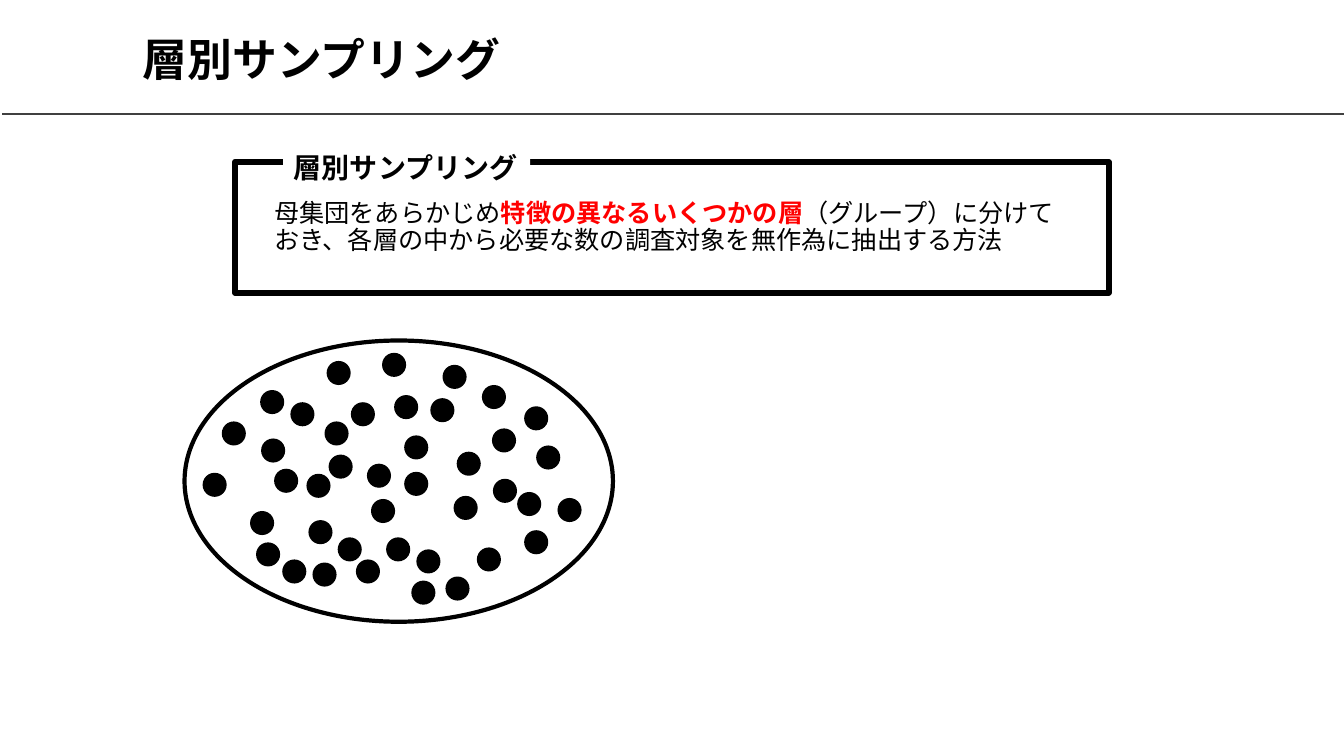
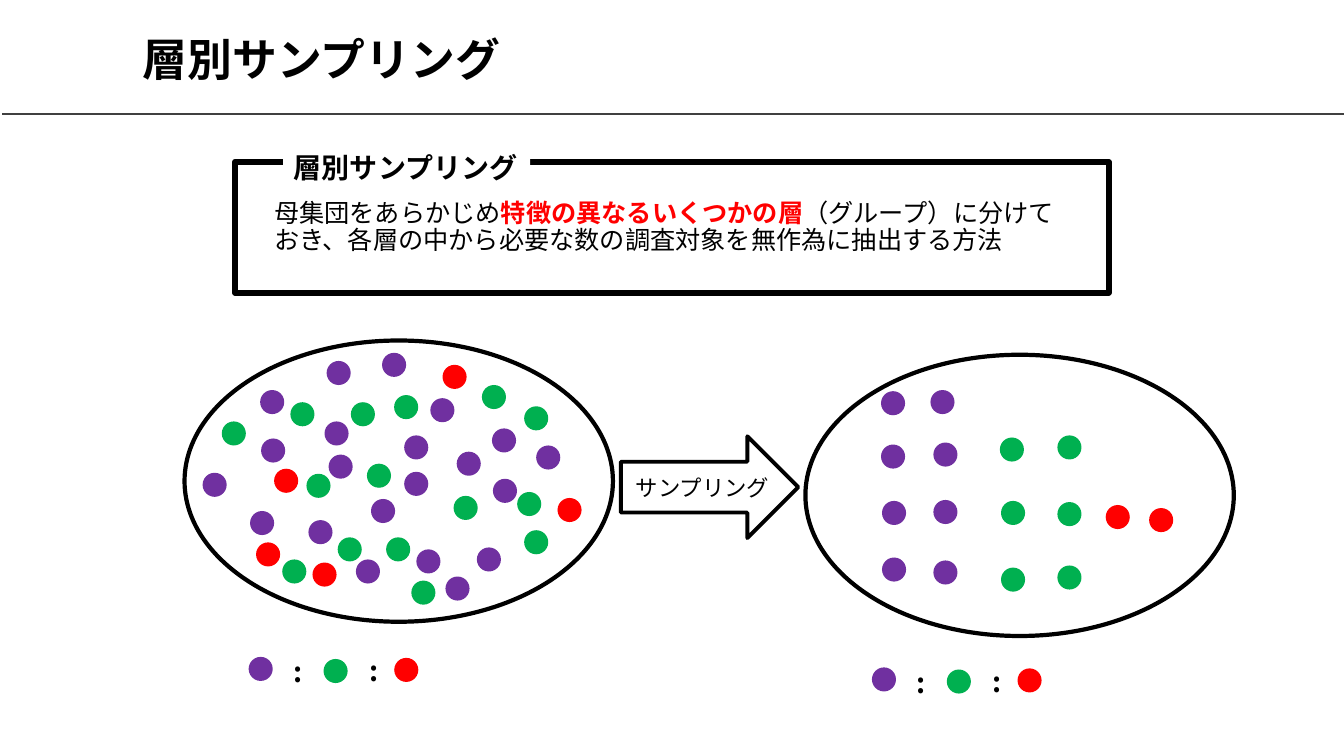
from pptx import Presentation
from pptx.dml.color import RGBColor
from pptx.enum.shapes import MSO_CONNECTOR, MSO_SHAPE
from pptx.enum.text import MSO_ANCHOR, PP_ALIGN
from pptx.oxml.ns import qn
from pptx.util import Pt
from lxml import etree

BLACK = RGBColor(0x00, 0x00, 0x00)
WHITE = RGBColor(0xFF, 0xFF, 0xFF)
GRAY = RGBColor(0x40, 0x40, 0x40)
RED = RGBColor(0xFF, 0x00, 0x00)
GREEN = RGBColor(0x00, 0xB0, 0x50)
PURPLE = RGBColor(0x70, 0x30, 0xA0)

FONT = "Noto Sans CJK JP"
DOT = 17.2
TOPIC = "層別サンプリング"

# Left and top of every dot, by stratum
POPULATION = {
    PURPLE: [
        (234.7, 324.7), (351.4, 306), (288.7, 337), (220.3, 371.5), (185.8, 278.6),
        (272.9, 252), (254.2, 399.6), (297.4, 392.4), (318.2, 411.8), (326.2, 322.6),
        (340.6, 391), (383, 318.2), (352.1, 342), (144.7, 337.7), (186.5, 313.2),
        (233.3, 257.8), (178.6, 365), (231.8, 301), (288.7, 311), (265, 356.4),
        (307.4, 284.4),
    ],
    GREEN: [
        (218.9, 338.4), (369.4, 351.4), (262.1, 331.2), (324, 354.2), (275.8, 383.8),
        (374.4, 290.2), (158.4, 301), (344.2, 275), (207.4, 287.3), (374.4, 378.7),
        (241.2, 383.8), (201.6, 399.6), (250.6, 287.3), (281.5, 282.2), (293.8, 414.7),
    ],
    RED: [(195.8, 334.8), (223.2, 401.8), (316.1, 260.6), (398.2, 355.7), (182.9, 387.4)],
}
SAMPLE = {
    PURPLE: [
        (629.3, 279.4), (664.6, 278.6), (629.3, 317.5), (666.7, 316.1),
        (630, 357.8), (666.7, 357.1), (630, 398.2), (666.7, 400.3),
    ],
    GREEN: [
        (714.2, 312.5), (755.3, 311), (715, 357.8),
        (755.3, 358.6), (715, 405.4), (755.3, 403.9),
    ],
    RED: [(789.8, 360.7), (820.8, 362.9)],
}


def add_figure(slide, kind, left, top, width, height, fill=None, line=None, weight=0):
    figure = slide.shapes.add_shape(kind, Pt(left), Pt(top), Pt(width), Pt(height))
    figure.shadow.inherit = False
    if fill is None:
        figure.fill.background()
    else:
        figure.fill.solid()
        figure.fill.fore_color.rgb = fill
    if line is None:
        figure.line.fill.background()
    else:
        figure.line.color.rgb = line
        figure.line.width = Pt(weight)
    return figure


def add_text(slide, left, top, width, height, parts, size, font=FONT, align=PP_ALIGN.CENTER):
    """Each part is a tuple of text, colour and bold."""
    box = slide.shapes.add_textbox(Pt(left), Pt(top), Pt(width), Pt(height))
    box.text_frame.word_wrap = True
    para = box.text_frame.paragraphs[0]
    para.alignment = align
    for text, color, bold in parts:
        span = para.add_run()
        span.text = text
        span.font.name = font
        span.font.size = Pt(size)
        span.font.bold = bold
        span.font.color.rgb = color
    return box


deck = Presentation()
deck.slide_width, deck.slide_height = Pt(960), Pt(540)

for stratified in (False, True):
    slide = deck.slides.add_slide(deck.slide_layouts[6])

    # Title and rule
    title = add_text(slide, 95, 11.5, 832, 60.5, [(TOPIC, BLACK, True)], 32, align=PP_ALIGN.LEFT)
    title.text_frame.vertical_anchor = MSO_ANCHOR.MIDDLE
    rule = slide.shapes.add_connector(MSO_CONNECTOR.STRAIGHT, Pt(1.5), Pt(81.4), Pt(960), Pt(81.4))
    rule.line.color.rgb = GRAY
    rule.line.width = Pt(1.5)
    etree.SubElement(rule.element.spPr, qn("a:effectLst"))

    # Definition in a labelled frame
    definition = add_text(slide, 188.8, 139.7, 581, 50.4, [
        ("母集団をあらかじめ", BLACK, False),
        ("特徴の異なるいくつかの層", RED, True),
        ("（グループ）に分けておき、各層の中から必要な数の調査対象を無作為に抽出する方法", BLACK, False),
    ], 18, align=PP_ALIGN.LEFT)
    definition.text_frame.paragraphs[0].line_spacing = 0.9
    add_figure(slide, MSO_SHAPE.RECTANGLE, 167.8, 115.6, 624.2, 93.6, line=BLACK, weight=4)
    add_figure(slide, MSO_SHAPE.RECTANGLE, 202.3, 104.4, 176.4, 31.7, fill=WHITE)
    add_text(slide, 201.6, 103.7, 176.4, 31.7, [(TOPIC, BLACK, True)], 20)

    # Groups: dots, outline and ratio key
    groups = [(POPULATION, 131.8, 243.2, 177.6, 469.2)]
    if stratified:
        groups.append((SAMPLE, 575.3, 253.4, 622.8, 476.7))
    for strata, left, top, key_left, key_top in groups:
        for color, places in strata.items():
            for x, y in places:
                add_figure(slide, MSO_SHAPE.OVAL, x, y, DOT, DOT, fill=color if stratified else BLACK)
        add_figure(slide, MSO_SHAPE.OVAL, left, top, 306, 200.9, line=BLACK, weight=3)
        if stratified:
            for color, x, y in ((PURPLE, 0, 0), (GREEN, 53.5, 1.5), (RED, 104, 0.7)):
                add_figure(slide, MSO_SHAPE.OVAL, key_left + x, key_top + y, DOT, DOT, fill=color)
            for x, y in ((17.3, -5), (71.8, -5.7)):
                add_text(slide, key_left + x, key_top + y, 35.3, 31.7, [(":", BLACK, True)], 20)

    # Sampling arrow with a one-line label
    if stratified:
        add_figure(slide, MSO_SHAPE.RIGHT_ARROW, 443.5, 311.6, 126.7, 72.7, line=BLACK, weight=2.75)
        label = add_text(slide, 443.5, 311.6, 116.6, 72.7, [("サンプリング", BLACK, False)], 16, "Arial")
        label.text_frame.word_wrap = False
        label.text_frame.vertical_anchor = MSO_ANCHOR.MIDDLE

deck.save("out.pptx")
